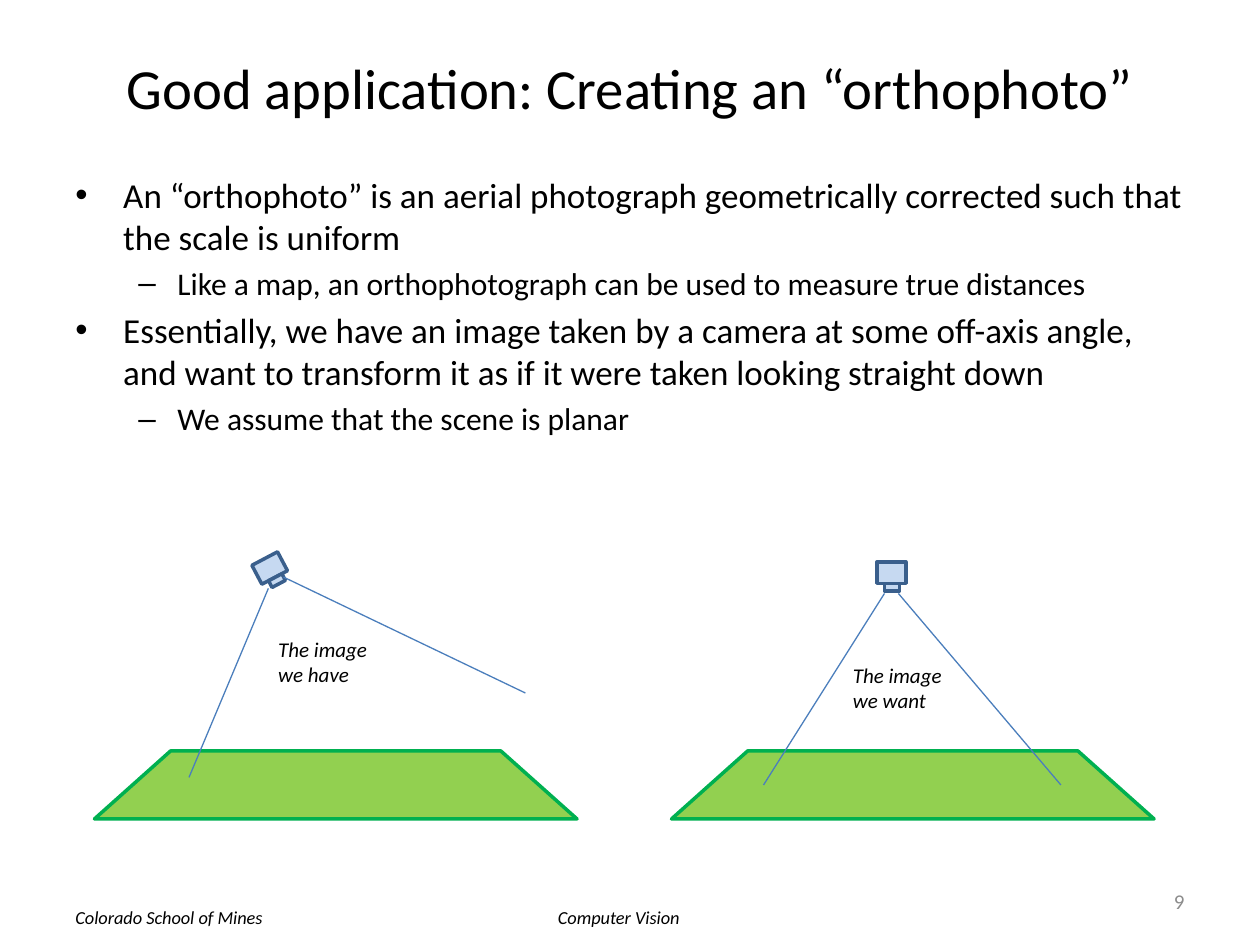
from lxml.etree import SubElement
from pptx import Presentation
from pptx.dml.color import RGBColor
from pptx.enum.shapes import MSO_CONNECTOR, MSO_SHAPE
from pptx.enum.text import MSO_ANCHOR as Anchor, PP_ALIGN as Align
from pptx.oxml.ns import qn
from pptx.util import Pt

PX = 9144
FONT = "Calibri"
BLACK = RGBColor(0x00, 0x00, 0x00)
GRAY = RGBColor(0x8C, 0x8C, 0x8C)
GRASS = RGBColor(0x92, 0xD0, 0x50)
GRASS_EDGE = RGBColor(0x00, 0xB0, 0x50)
CAMERA = RGBColor(0xC6, 0xD9, 0xF1)
CAMERA_EDGE = RGBColor(0x3A, 0x5F, 0x8C)
RAY = RGBColor(0x4B, 0x7E, 0xBC)

LEVELS = [
    {"bullet": "•", "size": 20, "margin": 38, "hang": 38},
    {"bullet": "–", "size": 18, "margin": 81, "hang": 31},
]
BULLETS = [
    (0, "An “orthophoto” is an aerial photograph geometrically corrected "
        "such that the scale is uniform"),
    (1, "Like a map, an orthophotograph can be used to measure true distances"),
    (0, "Essentially, we have an image taken by a camera at some off-axis angle, "
        "and want to transform it as if it were taken looking straight down"),
    (1, "We assume that the scene is planar"),
]


def scale(*lengths):
    return [round(length * PX) for length in lengths]


def add_span(para, text, size, color=BLACK, italic=False):
    span = para.add_run()
    span.text = text
    span.font.name = FONT
    span.font.size = Pt(size)
    span.font.italic = italic
    span.font.color.rgb = color


def add_text(page, box, text, size, color=BLACK, italic=False,
             align=Align.LEFT, anchor=Anchor.TOP, wrap=True):
    frame = page.shapes.add_textbox(*scale(*box)).text_frame
    frame.word_wrap = wrap
    frame.vertical_anchor = anchor
    para = frame.paragraphs[0]
    para.alignment = align
    add_span(para, text, size, color, italic)


def add_bullets(page, box, items):
    frame = page.shapes.add_textbox(*scale(*box)).text_frame
    frame.word_wrap = True
    for index, (level, text) in enumerate(items):
        style = LEVELS[level]
        para = frame.add_paragraph() if index else frame.paragraphs[0]
        para.level = level
        para.space_before = Pt(style["size"] * 0.2)
        props = para._p.get_or_add_pPr()
        props.set("marL", str(style["margin"] * PX))
        props.set("indent", str(-style["hang"] * PX))
        SubElement(props, qn("a:buFont")).set("typeface", "Arial")
        SubElement(props, qn("a:buChar")).set("char", style["bullet"])
        add_span(para, text, style["size"])


def add_solid(shapes, kind, box, fill, edge):
    shape = shapes.add_shape(kind, *scale(*box))
    shape.shadow.inherit = False
    shape.fill.solid()
    shape.fill.fore_color.rgb = fill
    shape.line.color.rgb = edge
    shape.line.width = Pt(2)
    return shape


def add_camera(page, left, top, angle):
    group = page.shapes.add_group_shape()
    for x, y, width, height in [(0, 0, 23, 17), (6, 17, 12, 6)]:
        add_solid(group.shapes, MSO_SHAPE.RECTANGLE,
                  (left + x, top + y, width, height), CAMERA, CAMERA_EDGE)
    group.rotation = angle


def add_ray(page, start, end):
    ray = page.shapes.add_connector(MSO_CONNECTOR.STRAIGHT, *scale(*start, *end))
    ray.line.color.rgb = RAY
    ray.line.width = Pt(0.75)
    SubElement(ray._element.spPr, qn("a:effectLst"))


def add_scene(page, box, camera, angle, rays, label, label_at):
    left, top, width, height = box
    ground = add_solid(page.shapes, MSO_SHAPE.TRAPEZOID,
                       (left, top + height - 54, width, 54), GRASS, GRASS_EDGE)
    ground.adjustments[0] = 1.12
    add_camera(page, left + camera[0], top + camera[1], angle)
    for x1, y1, x2, y2 in rays:
        add_ray(page, (left + x1, top + y1), (left + x2, top + y2))
    add_text(page, (left + label_at[0], top + label_at[1], 92, 50),
             label, 12, italic=True)


def add_footer(page, box):
    left, top, width, height = box
    add_text(page, (left + 383, top + 19, 118, 28), "Computer Vision", 10.5,
             italic=True, wrap=False)
    add_text(page, (left, top + 19, 171, 28), "Colorado School of Mines", 10.5,
             italic=True, wrap=False)
    add_text(page, (left + width - 233, top, 233, 40), "9", 12, color=GRAY,
             align=Align.RIGHT, anchor=Anchor.MIDDLE)


def main():
    deck = Presentation()
    deck.slide_width, deck.slide_height = scale(1000, 750)
    page = deck.slides.add_slide(deck.slide_layouts[6])
    add_text(page, (50, 30, 900, 78), "Good application: Creating an “orthophoto”",
             32.4, align=Align.CENTER, anchor=Anchor.MIDDLE)
    add_bullets(page, (50, 133, 900, 251), BULLETS)
    add_scene(page, (75, 440, 383, 210), camera=(129, 2), angle=332.2,
              rays=[(138, 27, 75, 177), (150, 18, 342, 110)],
              label="The image we have", label_at=(136, 60))
    add_scene(page, (533, 440, 383, 210), camera=(163, 6), angle=0,
              rays=[(169, 31, 73, 183), (180, 31, 309, 183)],
              label="The image we want", label_at=(134, 81))
    add_footer(page, (50, 695, 900, 47))
    deck.save("out.pptx")


if __name__ == "__main__":
    main()
